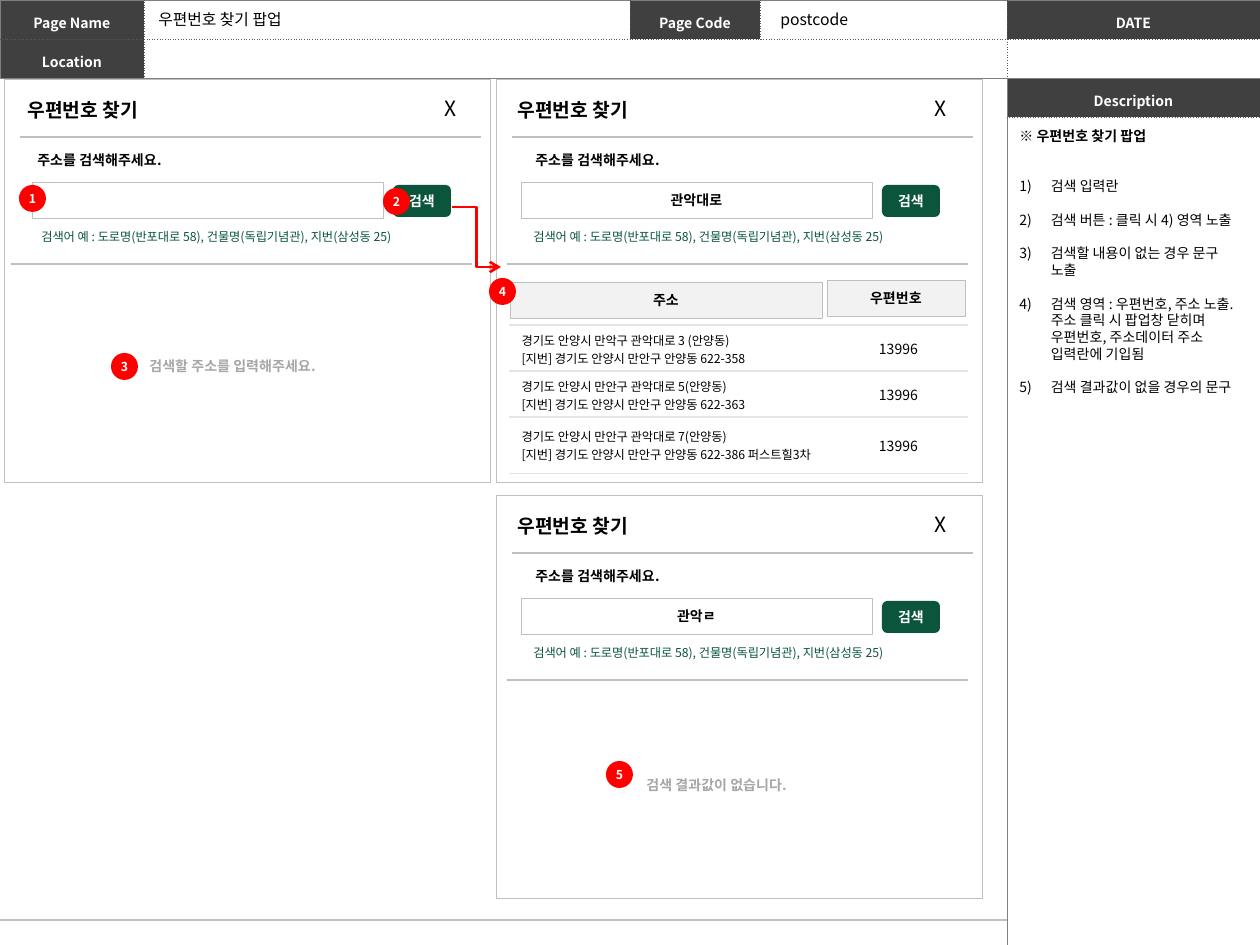
import pptx
import pptx.util
import pptx.dml.color
import pptx.enum.dml
import pptx.enum.shapes
import pptx.enum.text
import pptx.oxml.ns
import lxml.etree

SHAPES = pptx.enum.shapes.MSO_SHAPE
ALIGN = pptx.enum.text.PP_ALIGN
ANCHOR = pptx.enum.text.MSO_ANCHOR
FONT = "Noto Sans CJK KR"
BLACK, WHITE, RED, GREEN = "000000", "FFFFFF", "FF0000", "0B553C"
DARK, GRAY, LIGHT, MUTED = "404040", "BFBFBF", "F2F2F2", "A6A6A6"
SOLID, DOTTED, PALE = ("808080", 0.5, "solid"), ("595959", 0.5, "sysDot"), ("E5E5E5", 0.75, "solid")


def px(value):
    return pptx.util.Emu(round(value * 914400 / 126))


def color(value):
    return pptx.dml.color.RGBColor.from_string(value)


def child(parent, tag, **attributes):
    return lxml.etree.SubElement(parent, pptx.oxml.ns.qn(tag), attributes)


class Sheet:
    def __init__(self, slide):
        self.slide = slide

    def add_span(self, para, text, size, ink=BLACK, bold=False):
        span = para.add_run()
        span.text = text
        font = span.font
        font.size, font.bold, font.name = pptx.util.Pt(size), bold, FONT
        font.color.rgb = color(ink)
        child(font._element, "a:ea", typeface=FONT)

    def text(self, x, y, width, height, text, size, ink=BLACK, bold=False, wrap=False):
        box = self.slide.shapes.add_textbox(px(x), px(y), px(width), px(height))
        frame = box.text_frame
        frame.word_wrap = wrap
        frame.auto_size = pptx.enum.text.MSO_AUTO_SIZE.SHAPE_TO_FIT_TEXT
        self.add_span(frame.paragraphs[0], text, size, ink, bold)
        return frame

    def shape(self, kind, x, y, width, height, fill=None, line=None, text="", ink=BLACK, size=8):
        shape = self.slide.shapes.add_shape(kind, px(x), px(y), px(width), px(height))
        shape.shadow.inherit = False
        if fill:
            shape.fill.solid()
            shape.fill.fore_color.rgb = color(fill)
        else:
            shape.fill.background()
        if line:
            shape.line.color.rgb = color(line)
            shape.line.width = pptx.util.Pt(0.25)
        else:
            shape.line.fill.background()
        if text:
            frame = shape.text_frame
            frame.vertical_anchor = ANCHOR.MIDDLE
            if kind == SHAPES.OVAL:
                frame.margin_left = frame.margin_right = frame.margin_top = frame.margin_bottom = 0
            frame.paragraphs[0].alignment = ALIGN.CENTER
            self.add_span(frame.paragraphs[0], text, size, ink, True)

    def marker(self, number, x, y):
        self.shape(SHAPES.OVAL, x, y, 27, 27, RED, None, str(number), WHITE, 7)

    def line(self, x1, y1, x2, y2, ink=GRAY, width=0.75, elbow=False):
        kinds = pptx.enum.shapes.MSO_CONNECTOR
        kind = kinds.ELBOW if elbow else kinds.STRAIGHT
        line = self.slide.shapes.add_connector(kind, px(x1), px(y1), px(x2), px(y2))
        line.line.color.rgb = color(ink)
        line.line.width = pptx.util.Pt(width)
        if elbow:
            child(line.line._get_or_add_ln(), "a:tailEnd", type="arrow")
        child(line._element.spPr, "a:effectLst")

    def table(self, x, y, columns, rows):
        frame = self.slide.shapes.add_table(
            len(rows), len(columns), px(x), px(y), px(sum(columns)), px(sum(rows)))
        table = frame.table
        table.first_row = table.horz_banding = False
        for column, width in zip(table.columns, columns):
            column.width = px(width)
        for row, height in zip(table.rows, rows):
            row.height = px(height)
        return table

    def cell(self, cell, lines, size, borders, fill=None, ink=BLACK, bold=False, center=False, spacing=None):
        cell.vertical_anchor = ANCHOR.MIDDLE
        properties = cell._tc.get_or_add_tcPr()
        for side, border in zip("LRTB", borders):
            if border is None:
                edge = child(properties, "a:ln" + side, w="0")
                child(edge, "a:noFill")
                continue
            ink_value, width, dash = border
            edge = child(properties, "a:ln" + side, w=str(pptx.util.Pt(width)))
            child(child(edge, "a:solidFill"), "a:srgbClr", val=ink_value)
            child(edge, "a:prstDash", val=dash)
        if fill:
            cell.fill.solid()
            cell.fill.fore_color.rgb = color(fill)
        else:
            cell.fill.background()
        frame = cell.text_frame
        for index, line in enumerate(lines):
            para = frame.add_paragraph() if index else frame.paragraphs[0]
            if center:
                para.alignment = ALIGN.CENTER
            if spacing:
                para.line_spacing = spacing
            self.add_span(para, line, size, ink, bold)
        if not lines:
            child(frame.paragraphs[0]._p, "a:endParaRPr", sz=str(size * 100))

    def heading(self, cell, text, borders):
        cell.margin_left = cell.margin_right = cell.margin_top = cell.margin_bottom = px(5)
        self.cell(cell, [text] if text else [], 8, borders, DARK if text else None, WHITE, True, True, 1.3)

    def popup(self, x, y, title_x, label_x, field_x, divider_x, query=""):
        self.shape(SHAPES.RECTANGLE, x, y, 486, 403, None, GRAY)
        self.line(x + 16, y + 58, x + 477, y + 58)
        self.text(title_x, y + 13, 146, 37, "우편번호 찾기", 11, bold=True)
        self.text(title_x + 417, y + 10, 39, 38, "X", 12)
        self.text(label_x, y + 66, 152, 30, "주소를 검색해주세요.", 8, bold=True)
        self.shape(SHAPES.RECTANGLE, field_x, y + 103, 351, 36, None, GRAY, query)
        self.shape(SHAPES.ROUNDED_RECTANGLE, field_x + 361, y + 106, 58, 32, GREEN, None, "검색", WHITE)
        self.text(x + 25, y + 144, 393, 28,
                  "검색어 예 : 도로명(반포대로 58), 건물명(독립기념관), 지번(삼성동 25)", 7, GREEN, wrap=True)
        self.line(divider_x, y + 185, divider_x + 461, y + 185)

    def description(self, title, items):
        frame = self.text(1007, 121, 253, 285, title, 8, bold=True, wrap=True)
        for index, item in enumerate(items):
            para = frame.add_paragraph()
            para.space_before = pptx.util.Pt(9.6 if index else 19.2)
            properties = para._p.get_or_add_pPr()
            properties.set("marL", "228600")
            properties.set("indent", "-228600")
            child(properties, "a:buFont", typeface="+mj-lt")
            child(properties, "a:buAutoNum", type="arabicParenR")
            self.add_span(para, item, 8)


def page_header(sheet):
    table = sheet.table(0, 0, [144, 486, 130, 247, 253], [39, 39])
    table.cell(1, 1).merge(table.cell(1, 3))
    rows = [["Page Name", "", "Page Code", "", "DATE"], ["Location", "", "", "", ""]]
    for r, row in enumerate(rows):
        for c, text in enumerate(row):
            borders = (DOTTED if c else SOLID, SOLID if c == 4 else DOTTED,
                       DOTTED if r else SOLID, SOLID if r else DOTTED)
            sheet.heading(table.cell(r, c), text, borders)
    side = sheet.table(1007, 78, [253], [39, 828])
    sheet.heading(side.cell(0, 0), "Description", (SOLID, SOLID, SOLID, DOTTED))
    sheet.heading(side.cell(1, 0), "", (SOLID, SOLID, DOTTED, SOLID))
    sheet.line(0, 920, 1007, 920, GRAY, 1.5)
    sheet.text(146, 4, 155, 32, "우편번호 찾기 팝업", 9)
    sheet.text(768, 4, 94, 32, "postcode", 9)


def address_results(sheet):
    sheet.shape(SHAPES.RECTANGLE, 827, 280, 138, 36, LIGHT, GRAY, "우편번호")
    sheet.shape(SHAPES.RECTANGLE, 510, 282, 312, 36, LIGHT, GRAY, "주소")
    addresses = [
        ["경기도 안양시 만악구 관악대로 3 (안양동)", "[지번] 경기도 안양시 만안구 안양동 622-358"],
        ["경기도 안양시 만안구 관악대로 5(안양동)", "[지번] 경기도 안양시 만안구 안양동 622-363"],
        ["경기도 안양시 만안구 관악대로 7(안양동)", "[지번] 경기도 안양시 만안구 안양동 622-386 퍼스트힐3차"],
    ]
    table = sheet.table(509, 325, [320, 139], [46, 46, 46])
    borders = (None, None, PALE, PALE)
    for row, lines in enumerate(addresses):
        sheet.cell(table.cell(row, 0), lines, 7, borders, WHITE)
        sheet.cell(table.cell(row, 1), ["13996"], 8, borders, WHITE, center=True)


def main():
    deck = pptx.Presentation()
    deck.slide_width, deck.slide_height = px(1260), px(945)
    sheet = Sheet(deck.slides.add_slide(deck.slide_layouts[6]))
    page_header(sheet)
    sheet.popup(4, 79, 15, 25, 32, 11)
    sheet.text(137, 351, 197, 30, "검색할 주소를 입력해주세요.", 8, MUTED, True)
    sheet.popup(496, 79, 505, 523, 521, 507, "관악대로")
    address_results(sheet)
    sheet.popup(496, 495, 505, 523, 521, 507, "관악ㄹ")
    sheet.text(634, 770, 170, 30, "검색 결과값이 없습니다.", 8, MUTED, True)
    sheet.line(452, 207, 501, 267, RED, 1.5, elbow=True)
    markers = [(19, 185), (383, 188), (111, 353), (489, 278), (606, 761)]
    for number, (x, y) in enumerate(markers, 1):
        sheet.marker(number, x, y)
    sheet.description("※ 우편번호 찾기 팝업", [
        "검색 입력란",
        "검색 버튼 : 클릭 시 4) 영역 노출",
        "검색할 내용이 없는 경우 문구 노출",
        "검색 영역 : 우편번호, 주소 노출. 주소 클릭 시 팝업창 닫히며 우편번호, 주소데이터 주소 입력란에 기입됨",
        "검색 결과값이 없을 경우의 문구",
    ])
    deck.save("out.pptx")


if __name__ == "__main__":
    main()
